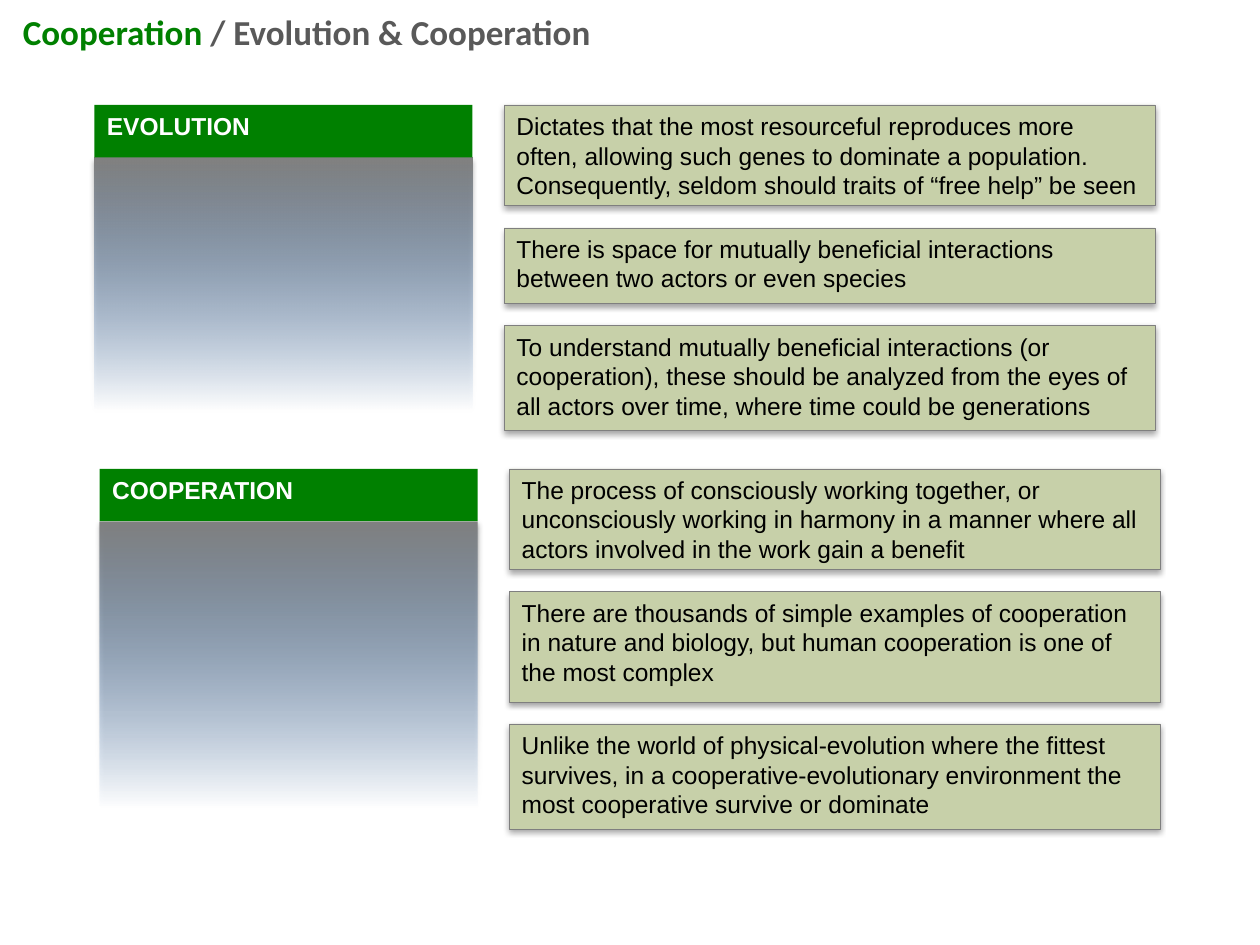
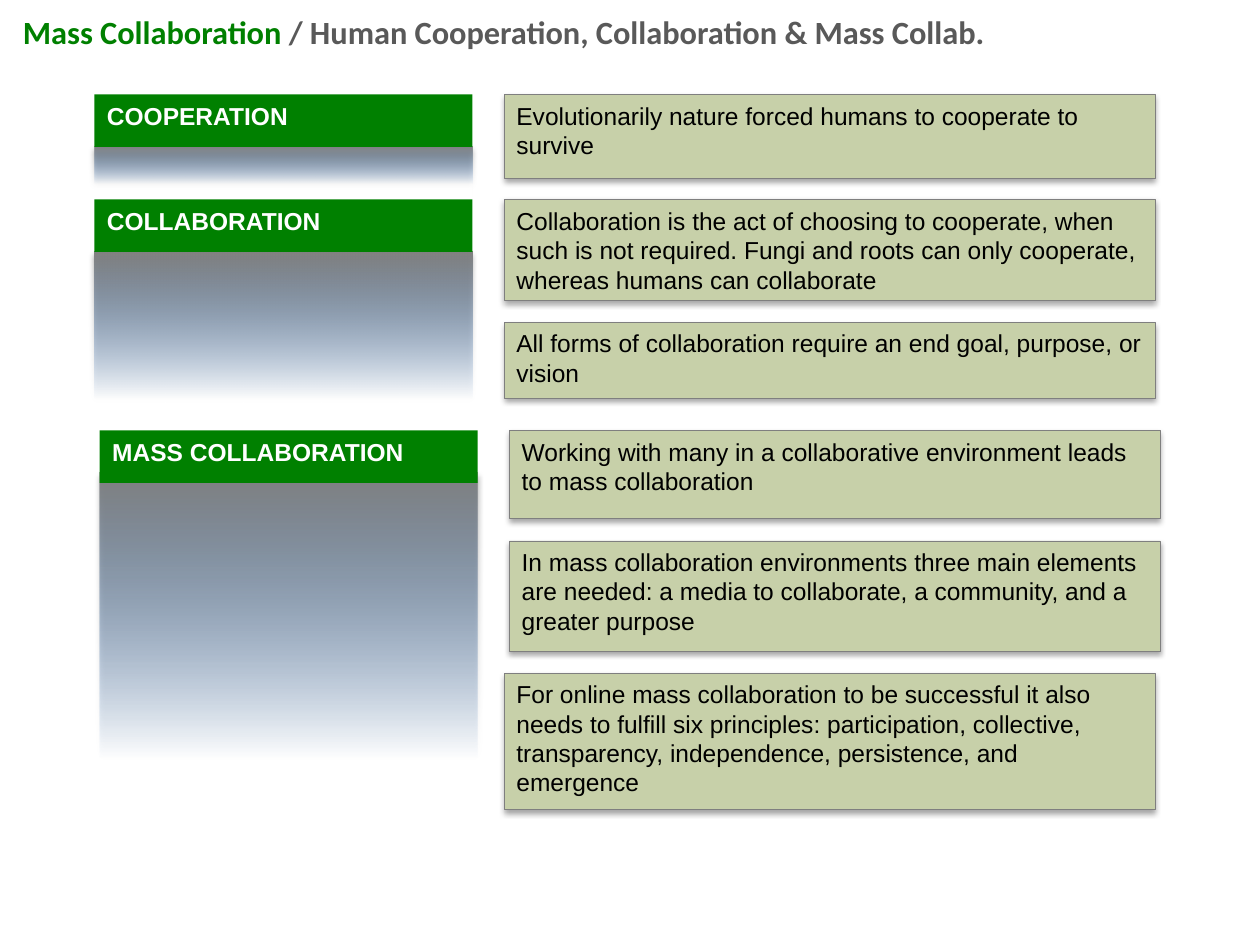
from dataclasses import dataclass

from lxml.etree import SubElement
from pptx import Presentation
from pptx.dml.color import RGBColor
from pptx.enum.shapes import MSO_SHAPE as Shape
from pptx.enum.text import MSO_ANCHOR as Anchor, PP_ALIGN as Align
from pptx.oxml.ns import qn
from pptx.util import Inches, Pt

COLORS = {
    "green": "008000", "gray": "595959", "white": "FFFFFF", "black": "000000",
    "note": "C7D0A9", "note_line": "7F7F7F",
    "panel_top": "808080", "panel_fade": "3D7CC7",
}

# The slide is a grid of 240 columns by 180 rows.
COLUMNS, ROWS = 240, 180
SLIDE_WIDTH, SLIDE_HEIGHT = Inches(10), Inches(7.5)
HEADING_WIDTH, HEADING_HEIGHT = 72, 10
NOTE_OFFSET, NOTE_WIDTH, NOTE_GAP = 78, 124, 4.2
TITLE_LEFT, TITLE_HEIGHT = 2, 12


@dataclass
class Section:
    """A heading over a fading panel, with (text, rows, column shift) notes."""
    heading: str
    left: float
    top: float
    panel_height: float
    fade_start: int
    notes: list
    panel_offset: float = HEADING_HEIGHT


def grid_box(left, top, width, height):
    """Turn columns and rows into slide lengths."""
    column, row = SLIDE_WIDTH / COLUMNS, SLIDE_HEIGHT / ROWS
    return [round(length) for length in
            (left * column, top * row, width * column, height * row)]


def rgb(name):
    """Look up a named colour."""
    return RGBColor.from_string(COLORS[name])


def style_run(run, font, size, color, bold=False):
    """Set the font of one run."""
    run.font.name, run.font.size, run.font.bold = font, Pt(size), bold
    run.font.color.rgb = rgb(color)


def add_shadow(shape):
    """Give a shape a soft shadow straight below it."""
    effects = shape._element.spPr.find(qn("a:effectLst"))
    shadow = SubElement(effects, qn("a:outerShdw"), blurRad="40000",
                        dist="23000", dir="5400000", rotWithShape="0")
    color = SubElement(shadow, qn("a:srgbClr"), val=COLORS["black"])
    SubElement(color, qn("a:alpha"), val="35000")


def add_box(slide, box, fill=None, text="", color="black", bold=False):
    """Add a borderless rectangle with text at its top left."""
    shape = slide.shapes.add_shape(Shape.RECTANGLE, *grid_box(*box))
    shape.shadow.inherit = False
    shape.line.fill.background()
    if fill:
        shape.fill.solid()
        shape.fill.fore_color.rgb = rgb(fill)
    if text:
        frame = shape.text_frame
        frame.text = text
        frame.word_wrap = True
        frame.vertical_anchor = Anchor.TOP
        paragraph = frame.paragraphs[0]
        paragraph.alignment = Align.LEFT
        style_run(paragraph.runs[0], "Arial", 14, color, bold)
    return shape


def add_panel(slide, box, fade_start):
    """Add a panel that fades out towards its bottom edge."""
    panel = add_box(slide, box)
    panel.fill.gradient()
    panel.fill.gradient_angle = 90
    stops = panel.fill.gradient_stops
    stops[0].position, stops[1].position = fade_start / 100, 1
    for stop, name in zip(stops, ("panel_fade", "panel_top")):
        stop.color.rgb = rgb(name)
    faded = panel._element.spPr.find(".//" + qn("a:srgbClr"))
    SubElement(faded, qn("a:alpha"), val="0")
    add_shadow(panel)


def add_note(slide, box, text):
    """Add one outlined note."""
    note = add_box(slide, box, "note", text)
    note.line.color.rgb = rgb("note_line")
    note.line.width = Pt(0.25)
    add_shadow(note)


def add_section(slide, section):
    """Place the panel, the stack of notes and the heading of a section."""
    left, top = section.left, section.top
    add_panel(slide, (left, top + section.panel_offset, HEADING_WIDTH,
                      section.panel_height), section.fade_start)
    note_top = top
    for text, height, shift in section.notes:
        add_note(slide, (left + NOTE_OFFSET + shift, note_top, NOTE_WIDTH,
                         height), text)
        note_top += height + NOTE_GAP
    add_box(slide, (left, top, HEADING_WIDTH, HEADING_HEIGHT), "green",
            section.heading, "white", bold=True)


def add_title(slide, topic, subject, width, size):
    """Add the two-coloured title line."""
    title = slide.shapes.add_textbox(
        *grid_box(TITLE_LEFT, 0, width, TITLE_HEIGHT))
    frame = title.text_frame
    frame.word_wrap = True
    frame.vertical_anchor = Anchor.MIDDLE
    for text, color in ((topic + " ", "green"), ("/ " + subject, "gray")):
        run = frame.paragraphs[0].add_run()
        run.text = text
        style_run(run, "Calibri", size, color, bold=True)


def add_topic_slide(presentation, title, sections):
    """Add a slide with a title and its sections."""
    slide = presentation.slides.add_slide(presentation.slide_layouts[6])
    add_title(slide, *title)
    for section in sections:
        add_section(slide, section)


EVOLUTION_SECTIONS = [
    Section("EVOLUTION", 18, 20, 48, 0, [
        ("Dictates that the most resourceful reproduces more often, allowing "
         "such genes to dominate a population. Consequently, seldom should "
         "traits of “free help” be seen", 19.2, 0),
        ("There is space for mutually beneficial interactions between two "
         "actors or even species", 14.4, 0),
        ("To understand mutually beneficial interactions (or cooperation), "
         "these should be analyzed from the eyes of all actors over time, "
         "where time could be generations", 20, 0),
    ]),
    Section("COOPERATION", 19, 89.3, 92, 41, [
        ("The process of consciously working together, or unconsciously "
         "working in harmony in a manner where all actors involved in the "
         "work gain a benefit", 19.2, 0),
        ("There are thousands of simple examples of cooperation in nature "
         "and biology, but human cooperation is one of the most complex",
         21, 0),
        ("Unlike the world of physical-evolution where the fittest survives, "
         "in a cooperative-evolutionary environment the most cooperative "
         "survive or dominate", 20, 0),
    ]),
]

COLLABORATION_SECTIONS = [
    Section("COLLABORATION", 18, 38, 28, 0, [
        ("Collaboration is the act of choosing to cooperate, when such is "
         "not required. Fungi and roots can only cooperate, whereas humans "
         "can collaborate", 19.2, 0),
        ("All forms of collaboration require an end goal, purpose, or vision",
         14.4, 0),
    ]),
    Section("MASS COLLABORATION", 19, 82, 92, 41, [
        ("Working with many in a collaborative environment leads to mass "
         "collaboration", 16.8, 0),
        ("In mass collaboration environments three main elements are needed: "
         "a media to collaborate, a community, and a greater purpose", 21, 0),
        ("For online mass collaboration to be successful it also needs to "
         "fulfill six principles: participation, collective, transparency, "
         "independence, persistence, and emergence", 26, -1),
    ], panel_offset=8),
    Section("COOPERATION", 18, 18, 12, 41, [
        ("Evolutionarily nature forced humans to cooperate to survive", 16, 0),
    ]),
]

presentation = Presentation()
presentation.slide_width, presentation.slide_height = SLIDE_WIDTH, SLIDE_HEIGHT
add_topic_slide(presentation,
                ("Cooperation", "Evolution & Cooperation", 180, 20),
                EVOLUTION_SECTIONS)
add_topic_slide(presentation,
                ("Mass Collaboration",
                 "Human Cooperation, Collaboration & Mass Collab.", 200, 18.5),
                COLLABORATION_SECTIONS)
presentation.save("out.pptx")
